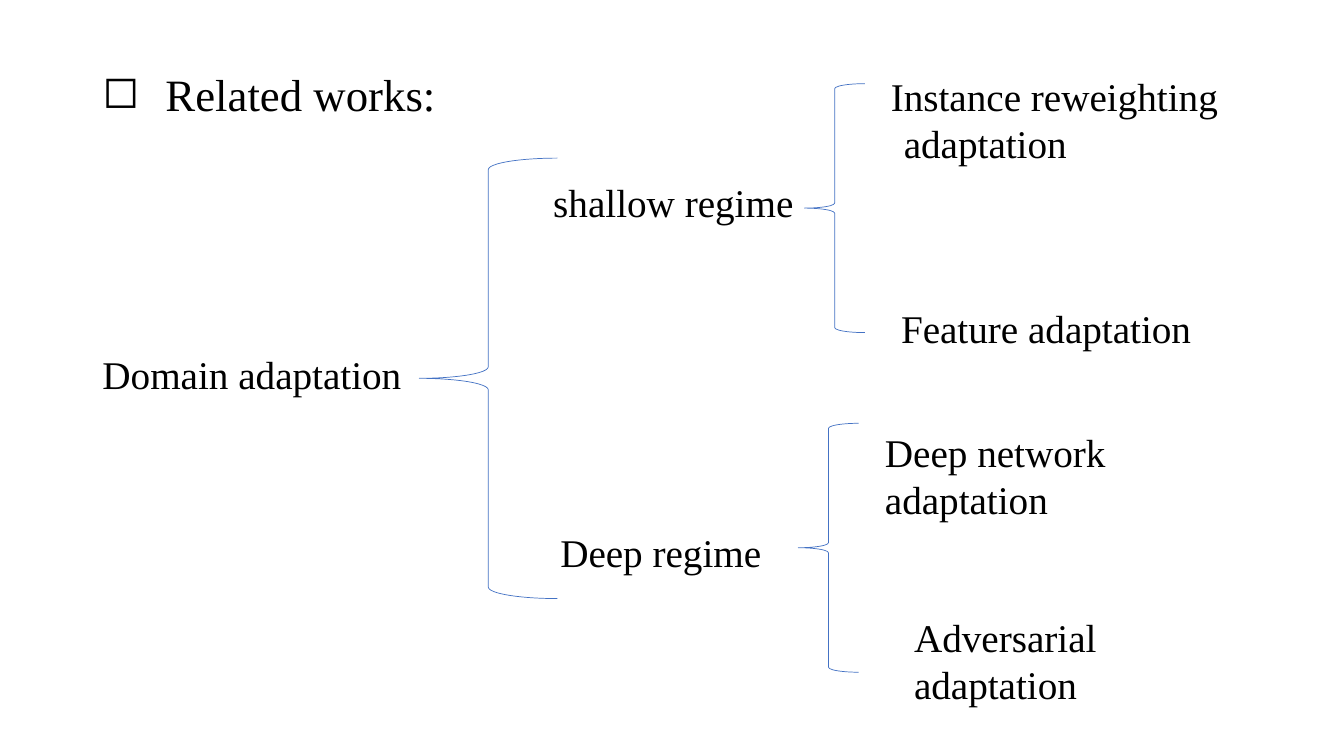
from lxml.etree import SubElement
from pptx import Presentation
from pptx.dml.color import RGBColor
from pptx.enum.shapes import MSO_SHAPE
from pptx.enum.text import MSO_ANCHOR, MSO_AUTO_SIZE, PP_ALIGN
from pptx.oxml.ns import qn
from pptx.util import Pt

COLORS = {"text": "000000", "brace": "4472C4"}
FONT = "Times New Roman"

# left, top, width, height
BRACES = [
    (299.5, 113, 98.6, 314.6),
    (574.6, 59.8, 43.2, 177.8),
    (570.2, 302.4, 43.2, 177.8),
]
# text, left, top, width, height, left margin, first-line indent
LABELS = [
    ("Instance reweighting adaptation", 625, 48.2, 281.5, 75, 13.5, -9.3),
    ("Feature adaptation", 636.5, 213.8, 231.8, 41, 0, 0),
    ("Deep regime", 393.1, 373.7, 245.5, 41, 0, 0),
    ("Deep network adaptation", 625, 302.4, 281.5, 75, 0, 0),
    ("Adversarial adaptation", 645.8, 434.2, 248.4, 75, 0, 0),
]


def color(name):
    return RGBColor.from_string(COLORS[name])


def place(shape, left, top, width, height):
    shape.left, shape.top = Pt(left), Pt(top)
    shape.width, shape.height = Pt(width), Pt(height)


def write(para, text, size=28, margin=0, indent=0, bullet=None,
          spacing=None, before=0):
    """Fill one paragraph with formatted text."""
    props = para._p.get_or_add_pPr()
    props.set("marL", str(Pt(margin)))
    props.set("indent", str(Pt(indent)))
    if bullet:
        SubElement(props, qn("a:buChar")).set("char", bullet)
    else:
        SubElement(props, qn("a:buNone"))
    para.alignment = PP_ALIGN.LEFT
    para.space_before = Pt(before)
    if spacing:
        para.line_spacing = spacing
    run = para.add_run()
    run.text = text
    font = run.font
    font.name, font.size = FONT, Pt(size)
    font.color.rgb = color("text")


def add_title(slide):
    title = slide.shapes.title
    place(title, 66, 45.4, 828, 48.2)
    frame = title.text_frame
    frame.auto_size = MSO_AUTO_SIZE.NONE
    frame.vertical_anchor = MSO_ANCHOR.MIDDLE
    write(frame.paragraphs[0], "Related works:", size=32, margin=45,
          indent=-45, bullet="◻", spacing=0.9)


def add_body(slide):
    body = slide.placeholders[1]
    place(body, 66, 81.4, 828, 404.6)
    frame = body.text_frame
    frame.auto_size = MSO_AUTO_SIZE.NONE
    frame.margin_top = Pt(50)
    write(frame.paragraphs[0], "shallow regime", margin=322, spacing=0.9)
    write(frame.add_paragraph(), "Domain adaptation", spacing=0.9, before=92)


def add_brace(slide, box):
    brace = slide.shapes.add_shape(MSO_SHAPE.LEFT_BRACE, *map(Pt, box))
    brace.shadow.inherit = False
    brace.fill.background()
    brace.line.color.rgb = color("brace")
    brace.line.width = Pt(0.5)


def add_label(slide, text, left, top, width, height, margin, indent):
    box = slide.shapes.add_textbox(*map(Pt, (left, top, width, height)))
    box.text_frame.word_wrap = True
    write(box.text_frame.paragraphs[0], text, margin=margin, indent=indent)


def main():
    deck = Presentation()
    deck.slide_width, deck.slide_height = Pt(960), Pt(540)
    slide = deck.slides.add_slide(deck.slide_layouts[1])
    add_title(slide)
    add_body(slide)
    for box in BRACES:
        add_brace(slide, box)
    for label in LABELS:
        add_label(slide, *label)
    deck.save("out.pptx")


if __name__ == "__main__":
    main()
